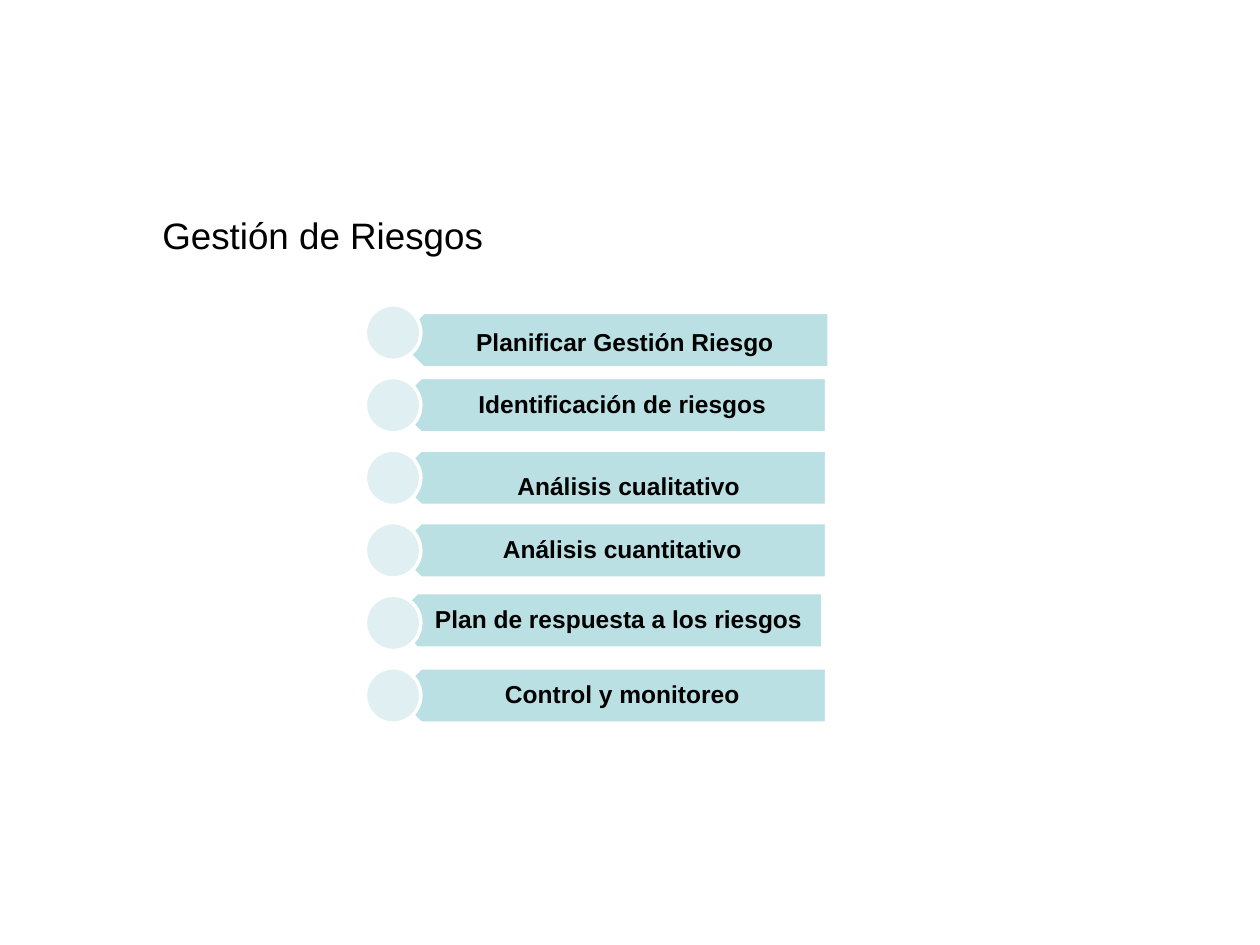
import pptx
import pptx.util
import pptx.dml.color
import pptx.enum.shapes
import pptx.enum.text

Inches = pptx.util.Inches
Pt = pptx.util.Pt
SHAPES = pptx.enum.shapes.MSO_SHAPE
ALIGN = pptx.enum.text.PP_ALIGN
ANCHOR = pptx.enum.text.MSO_ANCHOR
COLORS = {"bar": "BBE0E3", "circle": "E0F0F2", "outline": "FFFFFF", "text": "000000"}

deck = pptx.Presentation()
deck.slide_width, deck.slide_height = Inches(10), Inches(7.5)
slide = deck.slides.add_slide(deck.slide_layouts[6])


def add_text(text, left, top, width, height, size=14, bold=False, align=ALIGN.LEFT,
             anchor=ANCHOR.TOP, margins=(0.1, 0.05, 0.1, 0.05), spacing=1.0):
    box = slide.shapes.add_textbox(Inches(left), Inches(top), Inches(width), Inches(height))
    frame = box.text_frame
    frame.word_wrap = True
    frame.vertical_anchor = anchor
    frame.margin_left, frame.margin_top, frame.margin_right, frame.margin_bottom = map(Inches, margins)
    paragraph = frame.paragraphs[0]
    paragraph.alignment = align
    paragraph.line_spacing = spacing
    run = paragraph.add_run()
    run.text = text
    run.font.name = "Arial"
    run.font.size = Pt(size)
    run.font.bold = bold
    run.font.color.rgb = pptx.dml.color.RGBColor.from_string(COLORS["text"])


def add_outlined(kind, color, left, top, width, height):
    shape = slide.shapes.add_shape(kind, Inches(left), Inches(top), Inches(width), Inches(height))
    shape.shadow.inherit = False
    shape.fill.solid()
    shape.fill.fore_color.rgb = pptx.dml.color.RGBColor.from_string(COLORS[color])
    shape.line.color.rgb = pptx.dml.color.RGBColor.from_string(COLORS["outline"])
    shape.line.width = Pt(2)
    return shape


# Risk management steps: label, bar shift (x, y), label shift within its bar (x, y)
steps = [
    ("Planificar Gestión Riesgo", (0.02, 0.06), (0, 0.03)),
    ("Identificación de riesgos", (0, 0), (0, 0)),
    ("Análisis cualitativo", (0, 0), (0.05, 0.08)),
    ("Análisis cuantitativo", (0, 0), (0, 0)),
    ("Plan de respuesta a los riesgos", (-0.03, -0.02), (0, 0)),
    ("Control y monitoreo", (0, 0), (0, 0)),
]
first_top, pitch, size = 2.42, 0.576, 0.44
for index, (label, bar_shift, label_shift) in enumerate(steps):
    row_top = first_top + index * pitch
    bar_left, bar_top = 3.12 + bar_shift[0], row_top + bar_shift[1]
    bar = add_outlined(SHAPES.PENTAGON, "bar", bar_left, bar_top, 3.44, size)
    bar.rotation = 180
    add_text(label, bar_left + 0.11 + label_shift[0], bar_top + label_shift[1], 3.33, size,
             bold=True, align=ALIGN.CENTER, anchor=ANCHOR.MIDDLE,
             margins=(0.2, 0.06, 0.11, 0.06), spacing=0.9)
    add_outlined(SHAPES.OVAL, "circle", 2.9, row_top, size, size)

# Title
add_text("Gestión de Riesgos", 1.19, 1.64, 3.62, 0.45, size=21)

deck.save("out.pptx")
